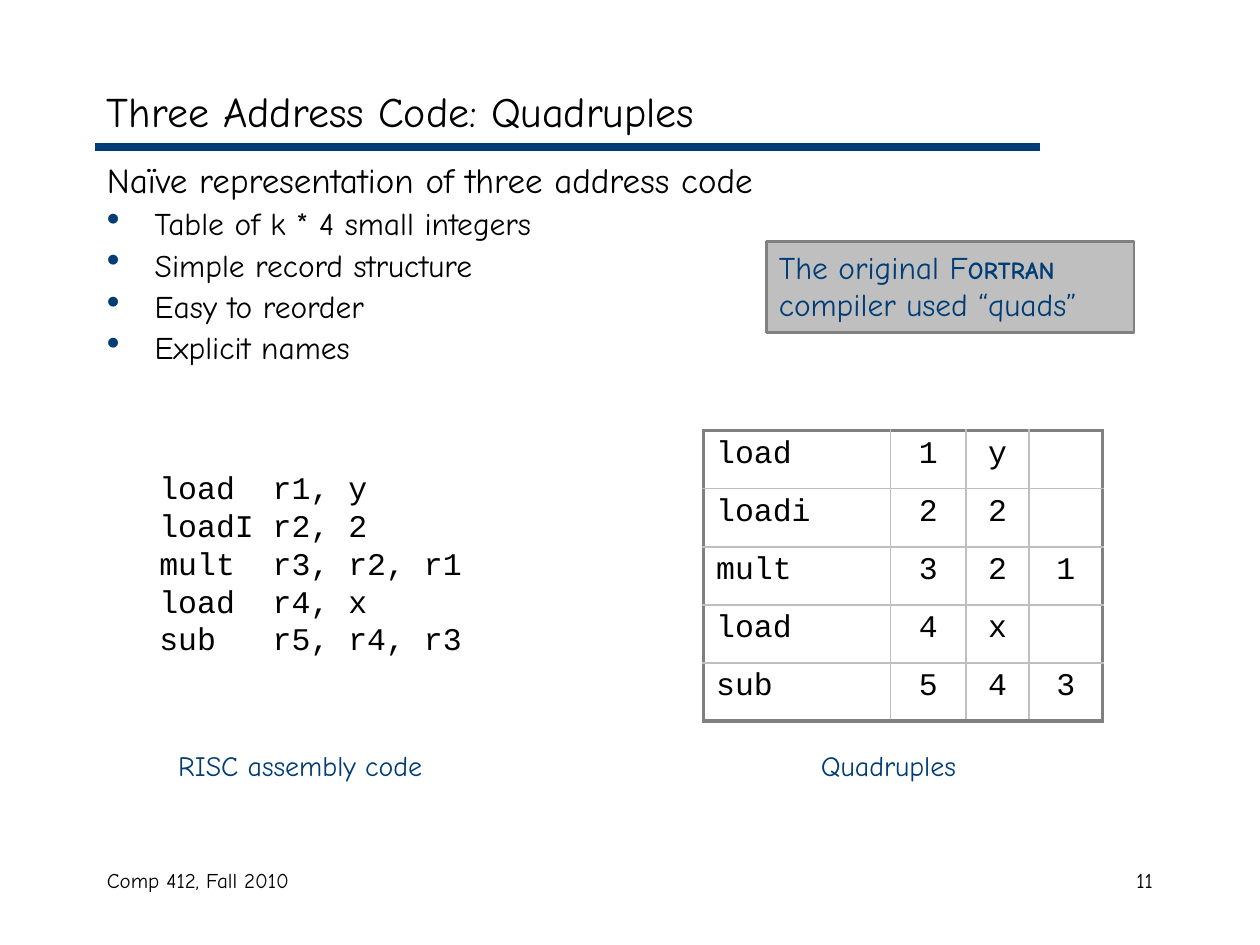
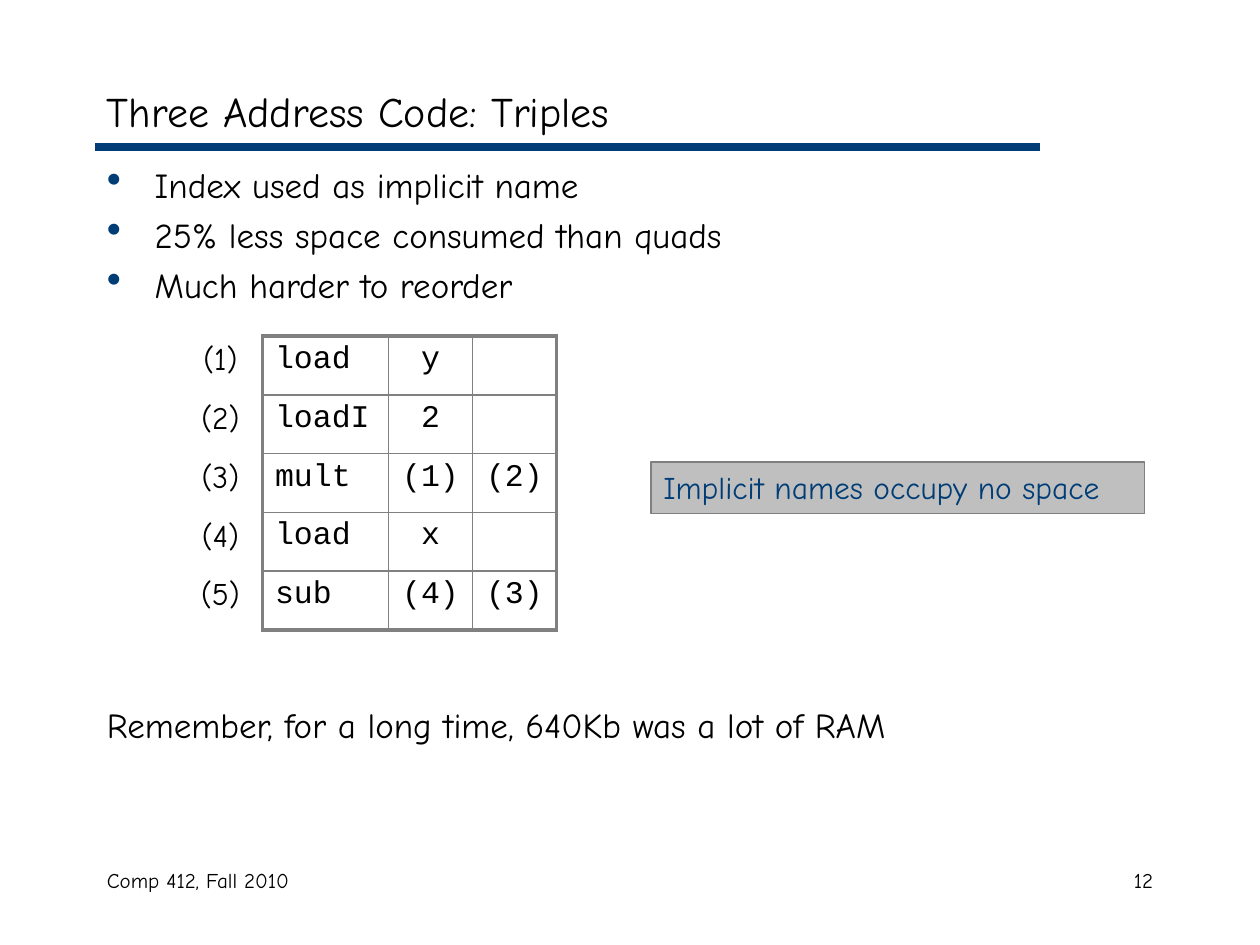
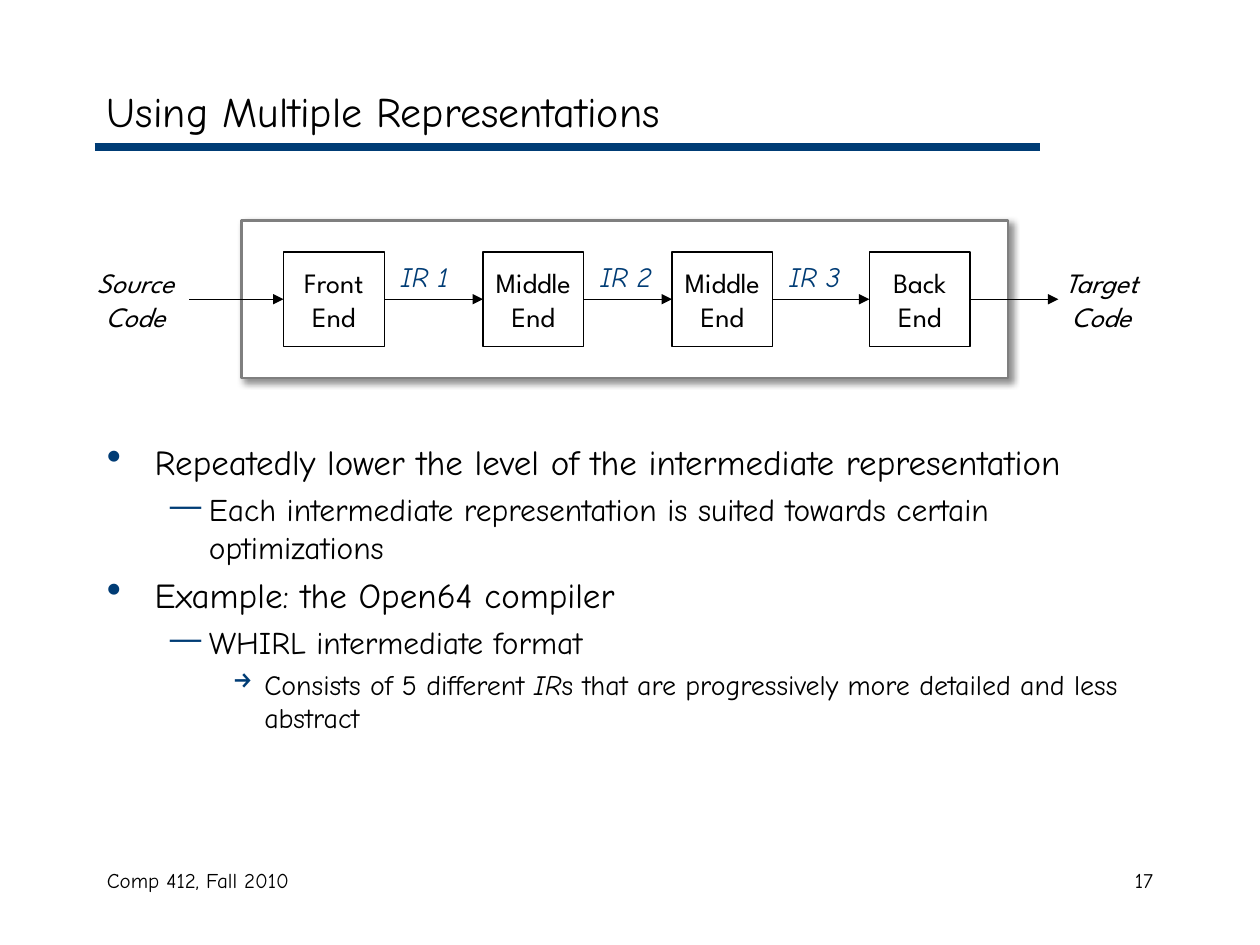
from dataclasses import dataclass
from itertools import pairwise
from typing import Optional

from lxml.etree import SubElement
from pptx import Presentation
from pptx.dml.color import RGBColor
from pptx.enum.shapes import MSO_CONNECTOR, MSO_SHAPE
from pptx.enum.text import MSO_ANCHOR, MSO_AUTO_SIZE, PP_ALIGN
from pptx.oxml import parse_xml
from pptx.oxml.ns import nsdecls, qn
from pptx.util import Inches, Pt

COLORS = {
    "text": "000000",
    "accent": "003C75",
    "paper": "FFFFFF",
    "callout": "BFBFBF",
    "edge": "808080",
    "frame": "7F7F7F",
}
PROSE, CODE, DIAGRAM = "Comic Neue", "Courier New", "League Spartan"
NO_TABLE_STYLE = "{2D5ABB26-0587-4C30-8999-92F81FD0307C}"

# The slide is a grid of 120 columns and 90 rows.
CELL = Inches(10) / 120
TOP, LEFT, RIGHT = 0, 1, 3


@dataclass(frozen=True)
class Box:
    col: float
    row: float
    cols: float
    rows: float

    def lengths(self) -> list[int]:
        return [cells(n) for n in (self.col, self.row, self.cols, self.rows)]


@dataclass(frozen=True)
class Run:
    text: str
    size: float = 18
    font: str = PROSE
    color: str = "text"
    bold: bool = False
    italic: bool = False


@dataclass(frozen=True)
class Bullet:
    mark: str
    margin: float
    hang: float
    percent: int


@dataclass(frozen=True)
class Line:
    runs: tuple[Run, ...]
    bullet: Optional[Bullet] = None
    align: Optional[PP_ALIGN] = None


@dataclass(frozen=True)
class Border:
    color: str
    width: float


@dataclass(frozen=True)
class Grid:
    """A code table whose first `index_cols` columns stand outside its border."""
    box: Box
    widths: tuple[float, ...]
    rows: tuple[tuple[str, ...], ...]
    inner: Border
    index_cols: int = 0


DOT = Bullet("•", 0.38, 0.38, 120)
DASH = Bullet("—", 0.81, 0.31, 100)
ARROW = Bullet("→", 1.25, 0.25, 90)
OUTER = Border("edge", 2.25)


def cells(count: float) -> int:
    return round(count * CELL)


def rgb(name: str) -> RGBColor:
    return RGBColor.from_string(COLORS[name])


def one_run(text: str, size: float = 18, bullet: Optional[Bullet] = None,
            align: Optional[PP_ALIGN] = None, **style) -> Line:
    return Line((Run(text, size, **style),), bullet, align)


def add_bullet(paragraph, bullet: Bullet) -> None:
    props = paragraph._p.get_or_add_pPr()
    props.set("marL", str(Inches(bullet.margin)))
    props.set("indent", str(-Inches(bullet.hang)))
    color = SubElement(props, qn("a:buClr"))
    SubElement(color, qn("a:srgbClr"), val=COLORS["accent"])
    SubElement(props, qn("a:buSzPct"), val=str(bullet.percent * 1000))
    SubElement(props, qn("a:buChar"), char=bullet.mark)


def write(frame, lines: list[Line], spacing: Optional[float] = None,
          gap: float = 0) -> None:
    """Fill a text frame; gap is the space before as a share of the text size."""
    for number, line in enumerate(lines):
        paragraph = frame.add_paragraph() if number else frame.paragraphs[0]
        if line.bullet:
            add_bullet(paragraph, line.bullet)
        paragraph.alignment = line.align
        if spacing:
            paragraph.line_spacing = spacing
        if number and gap:
            paragraph.space_before = Pt(round(gap * line.runs[0].size, 1))
        for part in line.runs:
            run = paragraph.add_run()
            run.text = part.text
            font = run.font
            font.size, font.name = Pt(part.size), part.font
            font.bold, font.italic = part.bold, part.italic
            font.color.rgb = rgb(part.color)


def add_text(slide, box: Box, lines: list[Line], wrap: bool = True,
             middle: bool = False, fit: bool = False,
             spacing: Optional[float] = None, gap: float = 0) -> None:
    frame = slide.shapes.add_textbox(*box.lengths()).text_frame
    frame.word_wrap = wrap
    frame.vertical_anchor = MSO_ANCHOR.MIDDLE if middle else MSO_ANCHOR.TOP
    frame.auto_size = MSO_AUTO_SIZE.SHAPE_TO_FIT_TEXT if fit else MSO_AUTO_SIZE.NONE
    write(frame, lines, spacing, gap)


def add_body(slide, box: Box, lines: list[Line],
             spacing: Optional[float] = None) -> None:
    add_text(slide, box, lines, spacing=spacing, gap=0.23)


def add_label(slide, box: Box, text: str, italic: bool = False) -> None:
    label = one_run(text, 16, color="accent", italic=italic)
    add_text(slide, box, [label], wrap=False, fit=True)


def add_rectangle(slide, box: Box, line: Border, fill: Optional[str] = None):
    shape = slide.shapes.add_shape(MSO_SHAPE.RECTANGLE, *box.lengths())
    shape.shadow.inherit = False
    if fill:
        shape.fill.solid()
        shape.fill.fore_color.rgb = rgb(fill)
    else:
        shape.fill.background()
    shape.line.color.rgb = rgb(line.color)
    shape.line.width = Pt(line.width)
    return shape


def add_callout(slide, box: Box, line: Border, runs: tuple[Run, ...]) -> None:
    frame = add_rectangle(slide, box, line, "callout").text_frame
    frame.word_wrap = True
    frame.auto_size = MSO_AUTO_SIZE.SHAPE_TO_FIT_TEXT
    frame.vertical_anchor = MSO_ANCHOR.TOP
    write(frame, [Line(runs, align=PP_ALIGN.LEFT)])


def add_line(slide, start: tuple[float, float], end: tuple[float, float],
             line: Border):
    connector = slide.shapes.add_connector(
        MSO_CONNECTOR.STRAIGHT, *(cells(n) for n in start + end))
    connector.line.color.rgb = rgb(line.color)
    connector.line.width = Pt(line.width)
    SubElement(connector._element.spPr, qn("a:effectLst"))
    return connector


def add_arrow(slide, start: tuple[float, float], end: tuple[float, float],
              source=None, target=None) -> None:
    arrow = add_line(slide, start, end, Border("text", 0.75))
    SubElement(arrow.line._get_or_add_ln(), qn("a:tailEnd"), type="triangle")
    if source is not None:
        arrow.begin_connect(source, RIGHT)
    if target is not None:
        arrow.end_connect(target, LEFT)


def set_borders(cell, borders: dict[str, Optional[Border]]) -> None:
    """Set the sides L, R, T and B, in that order; None leaves a side bare."""
    props = cell._tc.get_or_add_tcPr()
    for place, (side, border) in enumerate(borders.items()):
        width = Pt(border.width) if border else 0
        paint = (f'<a:solidFill><a:srgbClr val="{COLORS[border.color]}"/></a:solidFill>'
                 if border else "<a:noFill/>")
        props.insert(place, parse_xml(
            f'<a:ln{side} {nsdecls("a")} w="{width}">{paint}</a:ln{side}>'))


def add_grid(slide, grid: Grid) -> None:
    last_row, last_col = len(grid.rows) - 1, len(grid.widths) - 1
    table = slide.shapes.add_table(
        last_row + 1, last_col + 1, *grid.box.lengths()).table
    table.first_row = table.horz_banding = False
    table._tbl.tblPr.find(qn("a:tableStyleId")).text = NO_TABLE_STYLE
    for column, width in zip(table.columns, grid.widths):
        column.width = cells(width)
    for row in table.rows:
        row.height = cells(grid.box.rows / len(grid.rows))
    for r, texts in enumerate(grid.rows):
        for c, text in enumerate(texts):
            cell = table.cell(r, c)
            cell.fill.background()
            is_index = c < grid.index_cols
            if text:
                align = PP_ALIGN.LEFT if c == grid.index_cols else PP_ALIGN.CENTER
                font = PROSE if is_index else CODE
                write(cell.text_frame, [one_run(text, align=align, font=font)])
            else:
                cell.text_frame.paragraphs[0].font.size = Pt(18)
            if is_index:
                right = OUTER if c == grid.index_cols - 1 else None
                set_borders(cell, {"L": None, "R": right, "T": None, "B": None})
            else:
                set_borders(cell, {
                    "L": OUTER if c == grid.index_cols else grid.inner,
                    "R": OUTER if c == last_col else grid.inner,
                    "T": OUTER if r == 0 else grid.inner,
                    "B": OUTER if r == last_row else grid.inner,
                })


def start_slide(deck, title: str, page: int):
    """Add a slide with the shared rule, footer, page number and title."""
    slide = deck.slides.add_slide(deck.slide_layouts[6])
    add_line(slide, (9, 14), (99, 14), Border("accent", 4.5))
    add_text(slide, Box(9, 82, 38, 6), [one_run("Comp 412, Fall 2010", 12)])
    add_text(slide, Box(86, 82, 25, 6),
             [one_run(str(page), 12, align=PP_ALIGN.RIGHT)])
    add_text(slide, Box(9, 7, 102, 7), [one_run(title, 24)], middle=True)
    return slide


def build_quadruples(deck) -> None:
    slide = start_slide(deck, "Three Address Code: Quadruples", 11)
    traits = ("Table of k * 4 small integers", "Simple record structure",
              "Easy to reorder", "Explicit names")
    add_body(slide, Box(9, 15, 102, 24.4),
             [one_run("Naïve representation of three address code", 20)]
             + [one_run(trait, 18, DOT) for trait in traits], spacing=0.9)
    add_grid(slide, Grid(
        Box(67, 41, 38, 27.7), (17.8, 7.2, 6, 7),
        (("load", "1", "y", ""),
         ("loadi", "2", "2", ""),
         ("mult", "3", "2", "1"),
         ("load", "4", "x", ""),
         ("sub", "5", "4", "3")),
        Border("callout", 1)))
    assembly = ("load  r1, y", "loadI r2, 2", "mult  r3, r2, r1",
                "load  r4, x", "sub   r5, r4, r3")
    add_text(slide, Box(14, 44, 31.2, 19.2),
             [one_run(instruction, font=CODE) for instruction in assembly],
             wrap=False, fit=True)
    add_label(slide, Box(15.8, 70.7, 27.6, 4.4), "RISC assembly code")
    add_label(slide, Box(77, 70.7, 16.7, 4.4), "Quadruples")
    add_callout(slide, Box(73, 23, 35, 8.7), Border("edge", 1.5), (
        Run("The original F", color="accent"),
        Run("ORTRAN", 14, color="accent", bold=True),
        Run(" compiler used “quads”", color="accent")))


def build_triples(deck) -> None:
    slide = start_slide(deck, "Three Address Code: Triples", 12)
    traits = ("Index used as implicit name", "25% less space consumed than quads",
              "Much harder to reorder")
    add_body(slide, Box(9, 15, 102, 15),
             [one_run(trait, 20, DOT) for trait in traits])
    add_body(slide, Box(9, 66.4, 102, 6),
             [one_run("Remember, for a long time, 640Kb was a lot of RAM", 20)])
    operations = (("load", "y", ""), ("loadI", "2", ""), ("mult", "(1)", "(2)"),
                  ("load", "x", ""), ("sub", "(4)", "(3)"))
    add_grid(slide, Grid(
        Box(17, 32, 36, 28), (8, 12, 8, 8),
        tuple((f"({index})", *operation)
              for index, operation in enumerate(operations, 1)),
        Border("edge", 1), index_cols=1))
    add_callout(slide, Box(62, 44, 47, 4.9), Border("frame", 0.75),
                (Run("Implicit names occupy no space", color="accent"),))


def diagram_lines(words: str, italic: bool = False) -> list[Line]:
    return [one_run(word, 16, align=PP_ALIGN.CENTER, font=DIAGRAM, italic=italic)
            for word in words.split()]


def add_compiler_frame(slide) -> None:
    frame = add_rectangle(slide, Box(23, 21, 73, 15), Border("frame", 1.5), "paper")
    effects = frame._element.spPr.find(qn("a:effectLst"))
    shadow = SubElement(effects, qn("a:outerShdw"), blurRad=str(Pt(4)),
                        dist=str(Pt(3)), dir=str(45 * 60000), algn="tl",
                        rotWithShape="0")
    color = SubElement(shadow, qn("a:srgbClr"), val=COLORS["text"])
    SubElement(color, qn("a:alpha"), val="43000")


def add_stage(slide, col: float, words: str):
    stage = add_rectangle(slide, Box(col, 24, 9.6, 9), Border("text", 0.75))
    stage.text_frame.word_wrap = False
    stage.text_frame.vertical_anchor = MSO_ANCHOR.MIDDLE
    write(stage.text_frame, diagram_lines(words))
    return stage


def build_representations(deck) -> None:
    slide = start_slide(deck, "Using Multiple Representations", 17)
    add_body(slide, Box(9, 41.4, 102, 38.6), [
        one_run("Repeatedly lower the level of the intermediate representation",
                20, DOT),
        one_run("Each intermediate representation is suited towards certain "
                "optimizations", 18, DASH),
        one_run("Example: the Open64 compiler", 20, DOT),
        one_run("WHIRL intermediate format", 18, DASH),
        Line((Run("Consists of 5 different", 16), Run(" IR", 16, italic=True),
              Run("s that are progressively more detailed and less abstract", 16)),
             ARROW),
    ])
    add_compiler_frame(slide)
    stages = [add_stage(slide, col, words) for col, words in (
        (27, "Front End"), (46, "Middle End"), (64, "Middle End"),
        (82.8, "Back End"))]
    axis = 28.5
    add_arrow(slide, (18, axis), (27, axis), target=stages[0])
    for source, target in pairwise(stages):
        add_arrow(slide, (0, axis), (0, axis), source, target)
    add_arrow(slide, (92.4, axis), (100.8, axis), source=stages[-1])
    for number, col in enumerate((37, 56, 74), 1):
        add_label(slide, Box(col, 24.1, 9, 4.4), f"IR {number}", italic=True)
    for col, words in ((7, "Source Code"), (99, "Target Code")):
        add_text(slide, Box(col, 24, 11.8, 9), diagram_lines(words, italic=True),
                 wrap=False, middle=True)


def main() -> None:
    deck = Presentation()
    deck.slide_width, deck.slide_height = cells(120), cells(90)
    build_quadruples(deck)
    build_triples(deck)
    build_representations(deck)
    deck.save("out.pptx")


if __name__ == "__main__":
    main()
